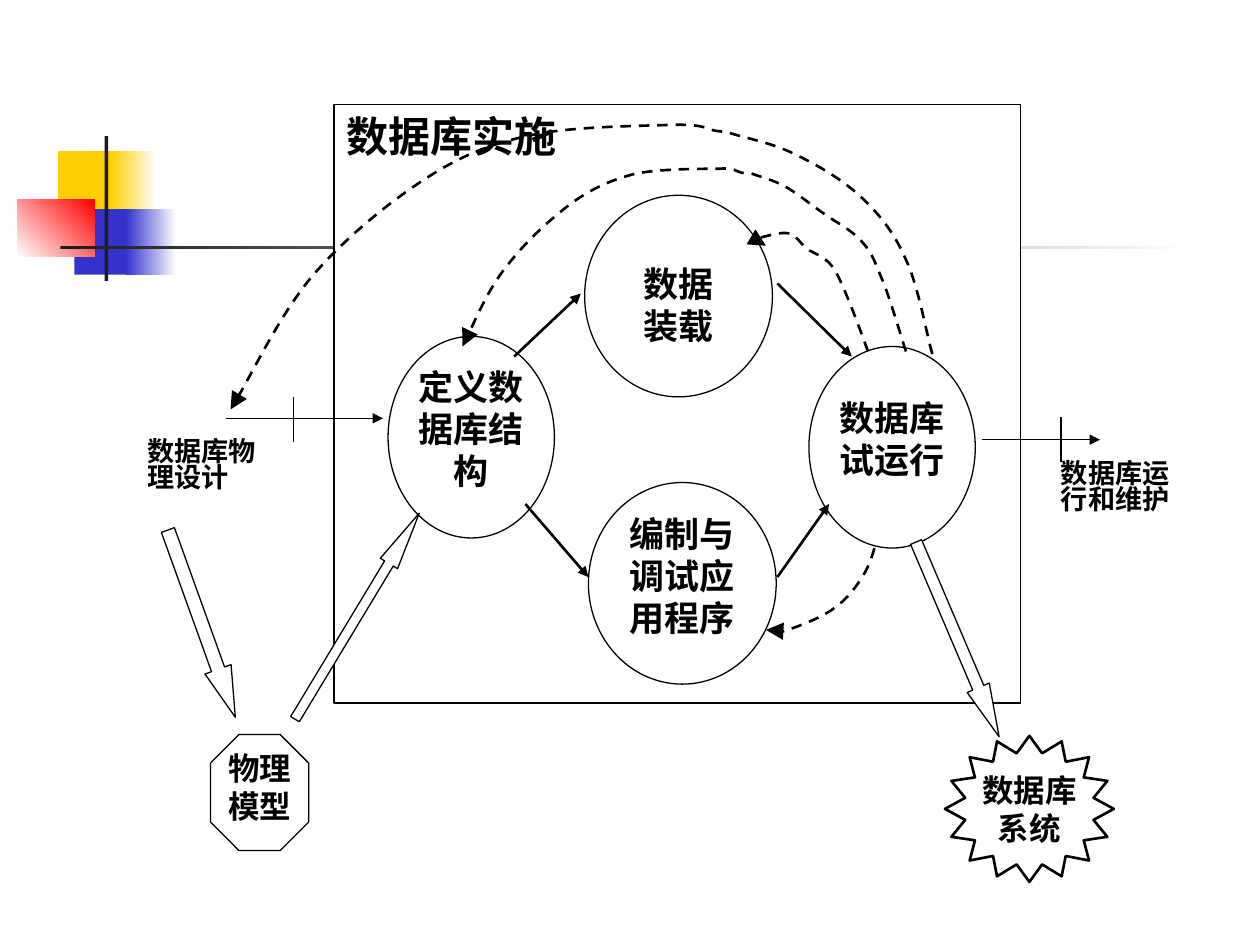
"""Build the database implementation flow slide."""

import math
from dataclasses import dataclass

import lxml.etree
import pptx
import pptx.dml.color
import pptx.enum.dml
import pptx.enum.shapes
import pptx.enum.text
import pptx.oxml.ns
import pptx.util

Inches = pptx.util.Inches
Pt = pptx.util.Pt
RGBColor = pptx.dml.color.RGBColor
Kind = pptx.enum.shapes.MSO_SHAPE
Align = pptx.enum.text.PP_ALIGN
Anchor = pptx.enum.text.MSO_ANCHOR
qn = pptx.oxml.ns.qn

BLACK = RGBColor(0, 0, 0)
WHITE = RGBColor(255, 255, 255)
YELLOW = RGBColor(0xFF, 0xCF, 0x01)
BLUE = RGBColor(0x33, 0x33, 0xCC)
RED = RGBColor(0xFF, 0, 0)
CHARCOAL = RGBColor(0x1C, 0x1C, 0x1C)
FONT = "Times New Roman"


@dataclass(frozen=True)
class Ornament:
    box: tuple[float, float, float, float]
    colors: tuple[RGBColor, ...]
    angle: float = 0


@dataclass(frozen=True)
class Node:
    kind: Kind
    box: tuple[float, float, float, float]
    lines: tuple[str, ...]
    size: float
    align: Align = Align.CENTER
    insets: tuple[float, float] = (0, 0)
    spacing: float | None = None
    outlined: bool = True
    adjustment: float | None = None


@dataclass(frozen=True)
class Line:
    start: tuple[float, float]
    end: tuple[float, float]
    width: float = 0.75
    arrow: bool = True


@dataclass(frozen=True)
class BlockArrow:
    box: tuple[float, float, float, float]
    rotation: float
    head: float


ORNAMENTS = (
    Ornament((0.46, 1.2, 0.48, 0.52), (YELLOW,)),
    Ornament((0.88, 1.2, 0.36, 0.52), (YELLOW, WHITE)),
    Ornament((0.59, 1.66, 0.46, 0.52), (BLUE,)),
    Ornament((1, 1.66, 0.4, 0.52), (BLUE, WHITE)),
    Ornament((0.14, 1.58, 0.61, 0.46), (WHITE, RED), 45),
    Ornament((0.83, 1.08, 0.03, 1.15), (CHARCOAL,)),
    Ornament((0.48, 1.95, 9, 0.03), (CHARCOAL, WHITE)),
)
NODES = (
    Node(Kind.RECTANGLE, (2.65, 0.83, 5.45, 4.75), ("数据库实施",), 24, Align.JUSTIFY, (0.1, 0.05)),
    Node(Kind.OVAL, (3.08, 2.67, 1.32, 1.6), ("定义数据库结构",), 20),
    Node(Kind.OVAL, (4.64, 1.55, 1.49, 1.6), ("数据", "装载"), 20, insets=(0, 0.3)),
    Node(Kind.OVAL, (6.42, 2.75, 1.32, 1.6), ("数据库试运行",), 20, insets=(0, 0.16)),
    Node(Kind.OVAL, (4.67, 3.83, 1.49, 1.6), ("编制与调试应用程序",), 20),
    Node(Kind.RECTANGLE, (1.17, 3.5, 1.25, 0.53), ("数据库物", "理设计"), 15.5,
         Align.JUSTIFY, spacing=0.8, outlined=False),
    Node(Kind.RECTANGLE, (8.42, 3.67, 1.25, 0.53), ("数据库运", "行和维护"), 15.5,
         Align.JUSTIFY, spacing=0.8, outlined=False),
    Node(Kind.OCTAGON, (1.67, 5.83, 0.78, 0.92), ("物理", "模型"), 18, adjustment=0.29),
)
LINES = (
    Line((1.79, 3.32), (3.04, 3.32)),
    Line((7.79, 3.49), (8.73, 3.49)),
    Line((8.42, 3.31), (8.42, 3.67), arrow=False),
    Line((2.33, 3.15), (2.33, 3.51), arrow=False),
    Line((4.08, 2.83), (4.61, 2.33), 1.5),
    Line((6.17, 2.25), (6.76, 2.83), 1.5),
    Line((4.17, 4), (4.67, 4.58), 1.5),
    Line((6.17, 4.58), (6.58, 4), 1.5),
)
BLOCK_ARROWS = (
    BlockArrow((0.81, 4.84, 1.58, 0.22), 70.2, 1.84),
    BlockArrow((6.76, 4.98, 1.68, 0.19), 66.9, 2.22),
    BlockArrow((1.88, 4.81, 1.91, 0.16), 301.1, 2.92),
)
FEEDBACK_CURVES = (
    ((6.89, 2.79), (6.85, 2.68), (6.71, 2.29), (6.63, 2.15), (6.55, 2.02), (6.46, 2.02),
     (6.4, 1.97), (6.34, 1.92), (6.32, 1.86), (6.25, 1.85), (6.18, 1.84), (6.02, 1.89),
     (5.99, 1.9), (5.96, 1.92), (6.07, 1.94), (6.08, 1.95), (6.1, 1.95), (6.08, 1.95),
     (6.08, 1.95)),
    ((7.4, 2.81), (7.36, 2.68), (7.29, 2.27), (7.19, 2.06), (7.1, 1.85), (6.98, 1.7),
     (6.83, 1.56), (6.68, 1.42), (6.47, 1.3), (6.3, 1.22), (6.14, 1.14), (5.94, 1.1),
     (5.84, 1.07), (5.74, 1.04), (5.77, 1.05), (5.69, 1.04), (5.61, 1.03), (5.62, 0.99),
     (5.37, 0.99), (5.13, 1), (4.56, 1), (4.23, 1.07), (3.89, 1.14), (3.65, 1.24),
     (3.36, 1.43), (3.07, 1.62), (2.74, 1.89), (2.48, 2.19), (2.23, 2.49), (1.97, 3.03),
     (1.83, 3.25)),
    ((7.19, 2.79), (7.16, 2.7), (7.07, 2.39), (7.01, 2.24), (6.95, 2.1), (6.93, 2.02),
     (6.85, 1.93), (6.77, 1.83), (6.64, 1.77), (6.53, 1.69), (6.43, 1.62), (6.32, 1.53),
     (6.23, 1.48), (6.14, 1.43), (6.02, 1.4), (5.97, 1.38), (5.91, 1.37), (5.92, 1.38),
     (5.88, 1.37), (5.83, 1.36), (5.84, 1.33), (5.7, 1.34), (5.56, 1.34), (5.23, 1.34),
     (5.04, 1.38), (4.85, 1.43), (4.71, 1.49), (4.54, 1.61), (4.38, 1.73), (4.19, 1.9),
     (4.04, 2.09), (3.89, 2.27), (3.74, 2.61), (3.67, 2.75)),
    ((6.94, 4.35), (6.93, 4.39), (6.9, 4.49), (6.85, 4.57), (6.8, 4.65), (6.73, 4.75),
     (6.63, 4.82), (6.53, 4.9), (6.34, 4.97), (6.25, 5), (6.16, 5.03), (6.11, 5), (6.08, 5)),
)


def set_line(shape, width: float) -> None:
    shape.line.color.rgb = BLACK
    shape.line.width = Pt(width)


def add_arrowhead(shape, size: str = "med") -> None:
    lxml.etree.SubElement(shape.line._get_or_add_ln(), qn("a:tailEnd"), type="triangle", w=size, len=size)


def add_preset(slide, kind: Kind, box: tuple[float, ...]):
    shape = slide.shapes.add_shape(kind, *map(Inches, box))
    shape.shadow.inherit = False
    shape.fill.solid()
    shape.fill.fore_color.rgb = WHITE
    return shape


def write_lines(shape, lines: tuple[str, ...], size: float, align: Align, spacing: float | None = None) -> None:
    shape.text_frame.text = "\n".join(lines)
    for paragraph in shape.text_frame.paragraphs:
        paragraph.alignment = align
        paragraph.line_spacing = spacing
        paragraph.font.name = FONT
        paragraph.font.size = Pt(size)
        paragraph.font.bold = True
        paragraph.font.color.rgb = BLACK


def set_frame(shape, side: float, top: float, anchor: Anchor, wrap: bool) -> None:
    frame = shape.text_frame
    frame.margin_left = frame.margin_right = Inches(side)
    frame.margin_top, frame.margin_bottom = Inches(top), 0
    frame.vertical_anchor = anchor
    frame.word_wrap = wrap


def draw_ornament(slide, ornament: Ornament) -> None:
    shape = add_preset(slide, Kind.RECTANGLE, ornament.box)
    shape.line.fill.background()
    if len(ornament.colors) == 1:
        shape.fill.fore_color.rgb = ornament.colors[0]
        return
    shape.fill.gradient()
    shape.fill.gradient_angle = ornament.angle
    for stop, color in zip(shape.fill.gradient_stops, ornament.colors):
        stop.color.rgb = color


def draw_node(slide, node: Node) -> None:
    shape = add_preset(slide, node.kind, node.box)
    if node.adjustment is not None:
        shape.adjustments[0] = node.adjustment
    if node.outlined:
        set_line(shape, 0.75)
    else:
        shape.line.fill.background()
    set_frame(shape, *node.insets, Anchor.TOP, True)
    write_lines(shape, node.lines, node.size, node.align, node.spacing)


def draw_line(slide, line: Line) -> None:
    connector = slide.shapes.add_connector(
        pptx.enum.shapes.MSO_CONNECTOR.STRAIGHT, *map(Inches, line.start + line.end))
    set_line(connector, line.width)
    if line.arrow:
        add_arrowhead(connector)
    lxml.etree.SubElement(connector._element.spPr, qn("a:effectLst"))


def draw_block_arrow(slide, arrow: BlockArrow) -> None:
    shape = add_preset(slide, Kind.RIGHT_ARROW, arrow.box)
    shape.rotation = arrow.rotation
    shape.adjustments[1] = arrow.head
    set_line(shape, 0.75)


def add_outline(slide, points, close: bool):
    start, *rest = [(Inches(x), Inches(y)) for x, y in points]
    builder = slide.shapes.build_freeform(*start)
    builder.add_line_segments(rest, close=close)
    shape = builder.convert_to_shape()
    shape.shadow.inherit = False
    shape.fill.background()
    set_line(shape, 1.5)
    return shape


def draw_feedback_curve(slide, points: tuple[tuple[float, float], ...]) -> None:
    shape = add_outline(slide, points, close=False)
    segments = list(shape._element.iter(qn("a:lnTo")))
    for first, *others in zip(segments[::3], segments[1::3], segments[2::3]):
        curve = lxml.etree.Element(qn("a:cubicBezTo"))
        first.addprevious(curve)
        for segment in (first, *others):
            curve.append(segment[0])
            segment.getparent().remove(segment)
    shape.line.dash_style = pptx.enum.dml.MSO_LINE.DASH
    add_arrowhead(shape, "lg")


def draw_starburst(slide, lines: tuple[str, ...]) -> None:
    points = []
    for step in range(32):
        radius = 0.775 if step % 2 else 1
        angle = math.pi * step / 16
        points.append((8.17 - 0.67 * radius * math.cos(angle), 6.42 + 0.58 * radius * math.sin(angle)))
    shape = add_outline(slide, points, close=True)
    set_frame(shape, 0, 0, Anchor.MIDDLE, False)
    write_lines(shape, lines, 18, Align.CENTER)


def main() -> None:
    presentation = pptx.Presentation()
    presentation.slide_width, presentation.slide_height = Inches(10), Inches(7.5)
    slide = presentation.slides.add_slide(presentation.slide_layouts[6])
    for draw, items in (
        (draw_ornament, ORNAMENTS),
        (draw_node, NODES),
        (draw_line, LINES),
        (draw_block_arrow, BLOCK_ARROWS),
        (draw_feedback_curve, FEEDBACK_CURVES),
    ):
        for item in items:
            draw(slide, item)
    draw_starburst(slide, ("数据库", "系统"))
    presentation.save("out.pptx")


if __name__ == "__main__":
    main()
